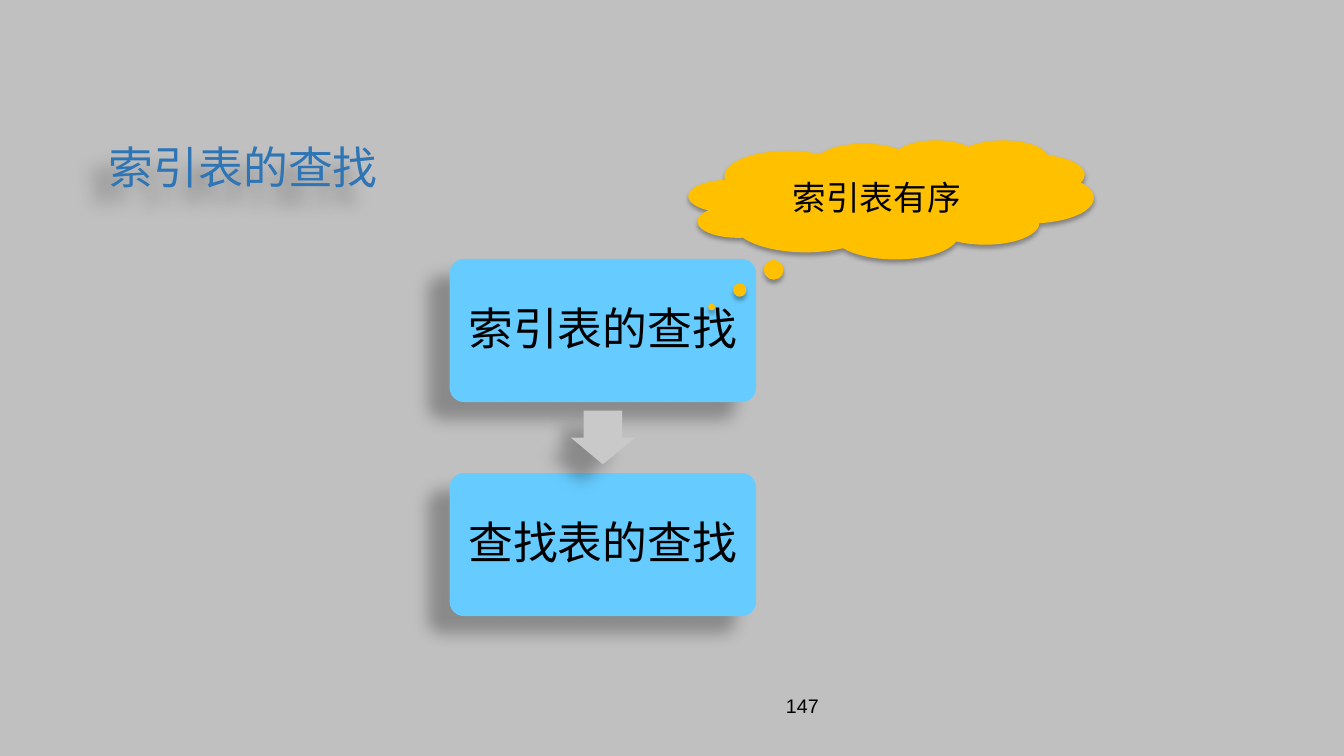
from pptx import Presentation
from pptx.dml.color import RGBColor
from pptx.enum.shapes import MSO_SHAPE
from pptx.enum.text import MSO_ANCHOR, PP_ALIGN
from pptx.oxml import parse_xml
from pptx.oxml.ns import nsdecls, qn
from pptx.util import Pt

CJK = "Noto Sans CJK SC"
INK = "010000"
# opacity %, blur pt, distance pt, direction degrees
DEEP_SHADOW = (28, 11.8, 19.7, 141)
SOFT_SHADOW = (32, 3.5, 2.2, 90)


def rgb(value):
    return RGBColor.from_string(value)


class SlideBuilder:
    def __init__(self, prs, background):
        self.s = prs.slides.add_slide(prs.slide_layouts[6])
        fill = self.s.background.fill
        fill.solid()
        fill.fore_color.rgb = rgb(background)

    def shadow(self, sp, opacity, blur, distance, direction):
        sp.shadow.inherit = False
        effects = sp._element.spPr.find(qn("a:effectLst"))
        effects.append(parse_xml(
            f'<a:outerShdw {nsdecls("a")} blurRad="{Pt(blur)}" dist="{Pt(distance)}" '
            f'dir="{direction * 60000}" algn="ctr" rotWithShape="0">'
            f'<a:srgbClr val="000000"><a:alpha val="{opacity * 1000}"/></a:srgbClr>'
            '</a:outerShdw>'))

    def label(self, sp, text, size, color=INK, font=CJK, align=PP_ALIGN.CENTER,
              spacing=1.0, **frame):
        """Put one styled line of text into a shape."""
        tf = sp.text_frame
        for name, value in {"word_wrap": True, **frame}.items():
            setattr(tf, name, value)
        p = tf.paragraphs[0]
        p.alignment, p.line_spacing = align, spacing
        r = p.add_run()
        r.text = text
        for name, value in {"name": font, "size": Pt(size)}.items():
            setattr(r.font, name, value)
        r.font.color.rgb = rgb(color)
        r.font._element.append(parse_xml(f'<a:ea {nsdecls("a")} typeface="{font}"/>'))

    def text(self, box, text, size, **style):
        sp = self.s.shapes.add_textbox(*map(Pt, box))
        self.label(sp, text, size, **style)
        return sp

    def shape(self, kind, box, fill, adjustments, shadow):
        sp = self.s.shapes.add_shape(kind, *map(Pt, box))
        for i, value in enumerate(adjustments):
            sp.adjustments[i] = value
        sp.fill.solid()
        sp.fill.fore_color.rgb = rgb(fill)
        sp.line.fill.background()
        self.shadow(sp, *shadow)
        return sp


def main():
    prs = Presentation()
    prs.slide_width, prs.slide_height = Pt(960), Pt(540)
    slide = SlideBuilder(prs, "C0C0C0")

    title = slide.text((49, 90.7, 249.8, 85), "索引表的查找", 32, color="2E75B6",
                       spacing=0.9, vertical_anchor=MSO_ANCHOR.BOTTOM,
                       margin_bottom=Pt(37))
    slide.shadow(title, *DEEP_SHADOW)
    slide.text((391.7, 491.8, 200.2, 36), "147", 14, font="Arial",
               align=PP_ALIGN.RIGHT)

    left, top, width, height, pitch = 321.2, 185, 218.9, 102.2, 152.9
    for i, step in enumerate(("索引表的查找", "查找表的查找")):
        card = slide.shape(MSO_SHAPE.ROUNDED_RECTANGLE,
                           (left, top + i * pitch, width, height),
                           "66CCFF", [0.1], DEEP_SHADOW)
        slide.label(card, step, 32, spacing=0.9, margin_left=Pt(9), margin_right=Pt(9),
                    vertical_anchor=MSO_ANCHOR.MIDDLE)

    arrow_w, arrow_h = 46, 38.3
    slide.shape(MSO_SHAPE.DOWN_ARROW,
                (left + (width - arrow_w) / 2, top + (height + pitch - arrow_h) / 2,
                 arrow_w, arrow_h), "C9C9C9", [0.6, 0.5], DEEP_SHADOW)

    cloud = slide.shape(MSO_SHAPE.CLOUD_CALLOUT, (491.8, 100, 289.4, 85),
                        "FFC000", [-0.443, 0.903], SOFT_SHADOW)
    slide.label(cloud, "索引表有序", 24, vertical_anchor=MSO_ANCHOR.MIDDLE)

    prs.save("out.pptx")


if __name__ == "__main__":
    main()
